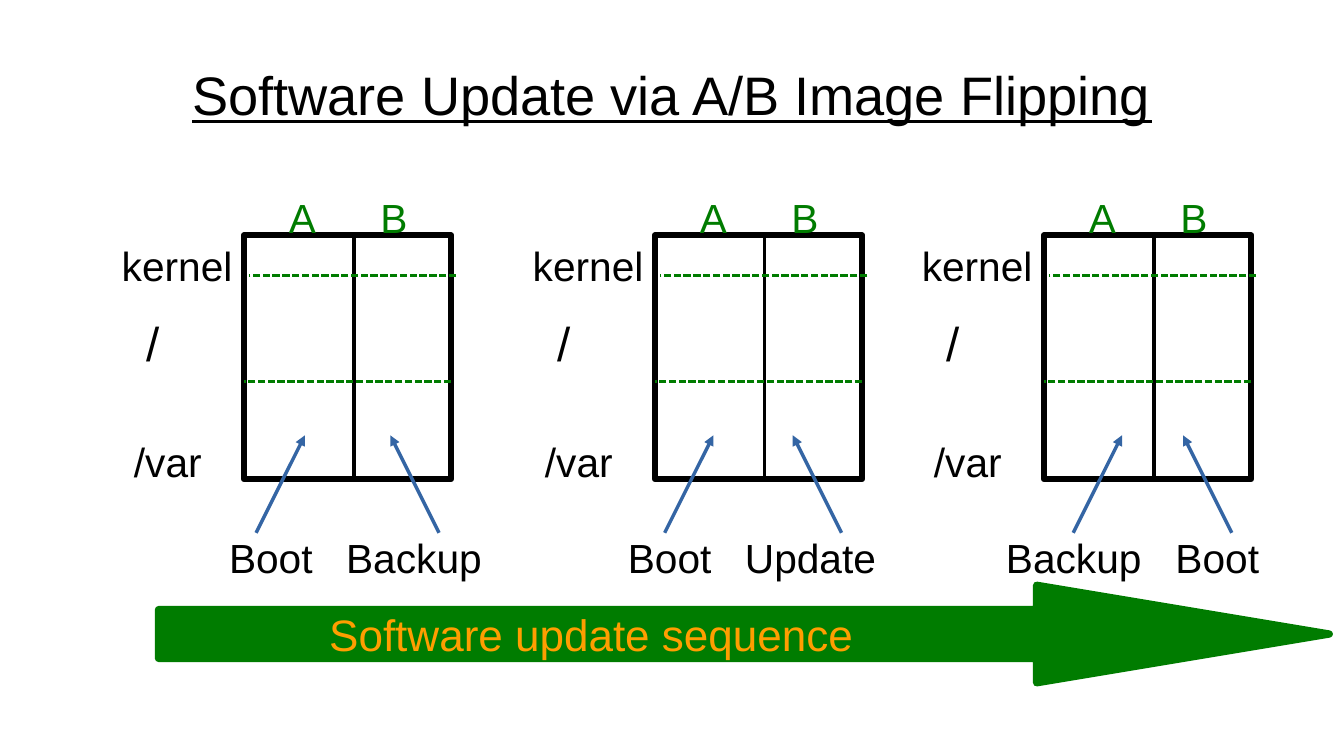
import pptx
import pptx.util
import pptx.dml.color
import pptx.enum.dml
import pptx.enum.shapes
import pptx.enum.text
import pptx.oxml.ns
import lxml.etree

PX = 9144
FONT = "Arial"
COLORS = {
    "ink": "000000",
    "paper": "FFFFFF",
    "green": "007C00",
    "blue": "3465A4",
    "gold": "FF9E00",
}
STAGES = [
    (200, [("Boot", 178, 210), ("Backup", 274, 360)]),
    (537, [("Boot", 505, 545), ("Update", 601, 690)]),
    (856, [("Backup", 815, 880), ("Boot", 954, 1010)]),
]


def scale(*sizes):
    return [size * PX for size in sizes]


def color(name):
    return pptx.dml.color.RGBColor.from_string(COLORS[name])


def style(para, size, name):
    para.font.name = FONT
    para.font.size = pptx.util.Pt(size)
    para.font.color.rgb = color(name)


def label(slide, text, box, size=24, name="ink", pad=(10, 5), wrap=True):
    frame = slide.shapes.add_textbox(*scale(*box)).text_frame
    frame.word_wrap = wrap
    frame.margin_left = frame.margin_right = pad[0] * PX
    frame.margin_top = frame.margin_bottom = pad[1] * PX
    para = frame.paragraphs[0]
    para.text = text
    style(para, size, name)


def block(slide, kind, box, fill, edge, width):
    shape = slide.shapes.add_shape(kind, *scale(*box))
    shape.shadow.inherit = False
    shape.fill.solid()
    shape.fill.fore_color.rgb = color(fill)
    shape.line.color.rgb = color(edge)
    shape.line.width = pptx.util.Pt(width)
    return shape


def rule(slide, ends, name, width, dash=False, head=False):
    kind = pptx.enum.shapes.MSO_CONNECTOR.STRAIGHT
    link = slide.shapes.add_connector(kind, *scale(*ends))
    link.line.color.rgb = color(name)
    link.line.width = pptx.util.Pt(width)
    if dash:
        link.line.dash_style = pptx.enum.dml.MSO_LINE.SQUARE_DOT
    qn = pptx.oxml.ns.qn
    props = link._element.spPr
    if head:
        tip = lxml.etree.SubElement(props.find(qn("a:ln")), qn("a:tailEnd"))
        tip.set("type", "triangle")
    lxml.etree.SubElement(props, qn("a:effectLst"))


def heading(slide, box):
    title = slide.shapes.title
    title.left, title.top, title.width, title.height = scale(*box)
    frame = title.text_frame
    frame.margin_left = frame.margin_right = 0
    frame.margin_top = frame.margin_bottom = 0
    frame.vertical_anchor = pptx.enum.text.MSO_ANCHOR.MIDDLE
    frame.auto_size = pptx.enum.text.MSO_AUTO_SIZE.NONE
    para = frame.paragraphs[0]
    para.text = "Software Update via A/B Image Flipping"
    para.alignment = pptx.enum.text.PP_ALIGN.CENTER
    style(para, 32, "ink")
    para.font.underline = True


def disk(slide, box):
    x, y, w, h = box
    rect = pptx.enum.shapes.MSO_SHAPE.RECTANGLE
    block(slide, rect, box, "paper", "ink", 3.6)
    rule(slide, (x + 90, y, x + 90, y + h), "ink", 2.15)
    for dx, dy in [(4, 33), (0, 120)]:
        ends = (x + w + dx, y + dy, x + dx, y + dy)
        rule(slide, ends, "green", 1.45, dash=True)
    label(slide, "kernel", (x - 110, y, 120, 47))
    label(slide, "/", (x - 90, y + 60, 80, 53), size=28)
    label(slide, "/var", (x - 100, y + 160, 100, 47))
    for text, dx in [("A", 27), ("B", 102)]:
        label(slide, text, (x + dx, y - 40, 60, 47), name="green")


def roles(slide, top, pair):
    for (text, left, start), shift in zip(pair, (40, -40)):
        label(slide, text, (left, top, 140, 50))
        ends = (start, top + 5, start + shift, top - 75)
        rule(slide, ends, "blue", 0, head=True)


def sequence(slide, box):
    x, y, w, h = box
    kind = pptx.enum.shapes.MSO_SHAPE.RIGHT_ARROW
    arrow = block(slide, kind, box, "green", "green", 4.31)
    arrow.adjustments[0] = 0.5
    arrow.adjustments[1] = 3
    label(slide, "Software update sequence", (x + 127, y + 10, 457, 56),
          size=26, name="gold", pad=(13, 8), wrap=False)


def main():
    deck = pptx.Presentation()
    deck.slide_width, deck.slide_height = scale(1102, 620)
    slide = deck.slides.add_slide(deck.slide_layouts[5])
    heading(slide, (55, 25, 992, 104))
    for left, pair in STAGES:
        disk(slide, (left, 193, 170, 200))
        roles(slide, 432, pair)
    sequence(slide, (130, 480, 960, 80))
    deck.save("out.pptx")


if __name__ == "__main__":
    main()
